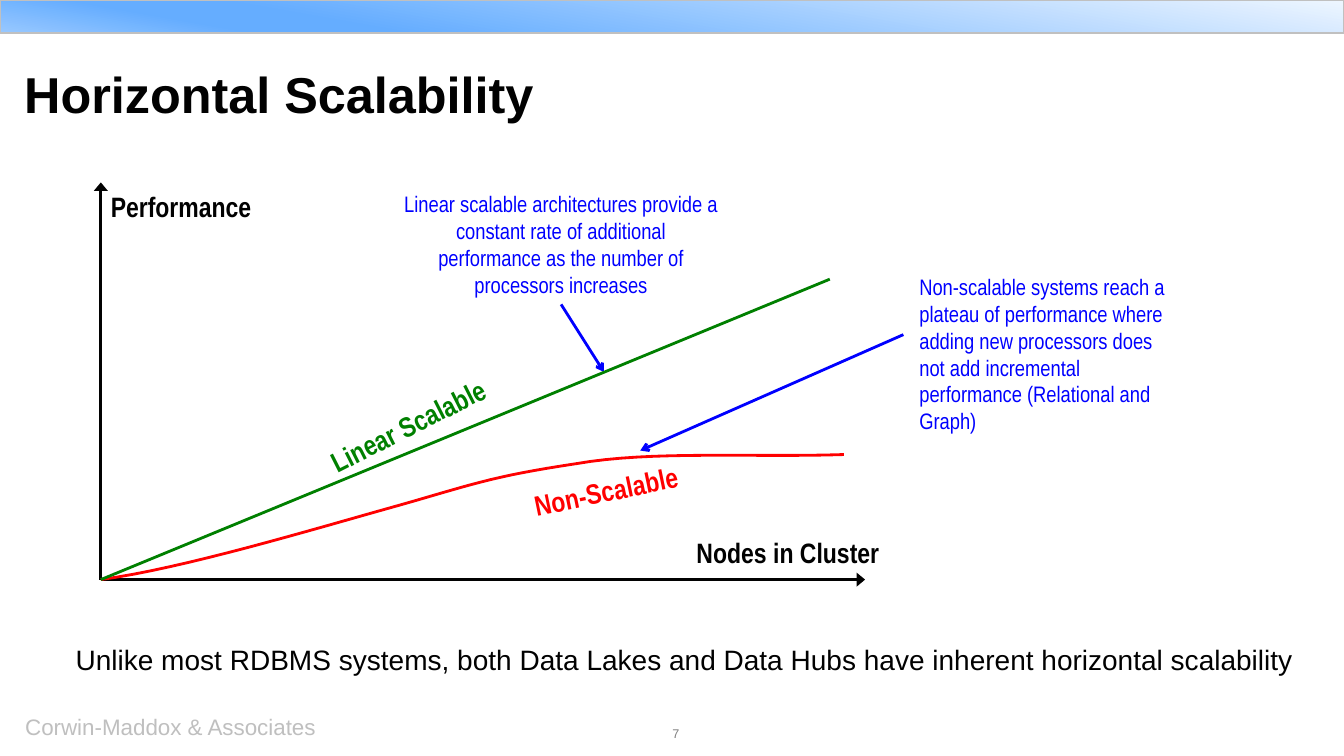
from lxml.etree import SubElement
from pptx import Presentation
from pptx.dml.color import RGBColor
from pptx.enum.shapes import MSO_CONNECTOR, MSO_SHAPE
from pptx.enum.text import MSO_AUTO_SIZE, PP_ALIGN
from pptx.oxml.ns import qn
from pptx.util import Inches, Pt

BLACK, BLUE, GREEN, RED = "010101", "0000FF", "008000", "FF0000"
NARROW = "Arial Narrow"
AXIS_HEAD = {"type": "triangle", "w": "lg", "len": "med"}
POINTER_HEAD = {"type": "arrow"}
BANNER_STOPS = [(0, "EEF6FF"), (74, "65ADFF"), (83, "65ADFF"), (100, "98C8FF")]
PLATEAU_CURVE = [
    [(0, 3.94), (0.82, 3.83), (2.11, 3.44), (2.9, 3.22)],
    [(2.9, 3.22), (3.68, 3), (3.85, 2.92), (4.72, 2.79)],
    [(4.72, 2.79), (5.45, 2.66), (6.49, 2.73), (7.37, 2.7)],
]
CURVE_STEPS = 16


def rgb(code):
    return RGBColor.from_string(code)


def add_text(slide, box, words, size, color, font="Arial", bold=False,
             inset=True, wrap=False, rotation=0, align=PP_ALIGN.LEFT):
    label = slide.shapes.add_textbox(*map(Inches, box))
    label.rotation = rotation
    frame = label.text_frame
    settings = {"word_wrap": wrap, "auto_size": MSO_AUTO_SIZE.SHAPE_TO_FIT_TEXT}
    if not inset:
        settings.update(dict.fromkeys(
            ("margin_left", "margin_top", "margin_right", "margin_bottom"), 0))
    for name, value in settings.items():
        setattr(frame, name, value)
    paragraph = frame.paragraphs[0]
    paragraph.alignment = align
    run = paragraph.add_run()
    run.text = words
    for name, value in {"name": font, "size": Pt(size), "bold": bold}.items():
        setattr(run.font, name, value)
    run.font.color.rgb = rgb(color)
    return label


def add_line(slide, start, end, color, head=None):
    line = slide.shapes.add_connector(
        MSO_CONNECTOR.STRAIGHT, *map(Inches, (*start, *end)))
    line.line.color.rgb = rgb(color)
    line.line.width = Pt(2)
    if head:
        SubElement(line.line._get_or_add_ln(), qn("a:tailEnd"), **head)
    SubElement(line._element.spPr, qn("a:effectLst"))
    return line


def bezier(points, t):
    weights = ((1 - t) ** 3, 3 * t * (1 - t) ** 2, 3 * t ** 2 * (1 - t), t ** 3)
    return tuple(sum(w * p[axis] for w, p in zip(weights, points)) for axis in (0, 1))


def draw_banner(slide, box):
    banner = slide.shapes.add_shape(MSO_SHAPE.RECTANGLE, *map(Inches, box))
    banner.shadow.inherit = False
    banner.fill.gradient()
    banner.fill.gradient_angle = 260
    stops = banner._element.spPr.find(qn("a:gradFill")).find(qn("a:gsLst"))
    for stop in list(stops):
        stops.remove(stop)
    for position, color in BANNER_STOPS:
        stop = SubElement(stops, qn("a:gs"), pos=str(position * 1000))
        SubElement(stop, qn("a:srgbClr"), val=color)
    banner.line.color.rgb = rgb("C0C0C0")
    banner.line.width = Pt(1)


def draw_title(slide, box):
    title = add_text(slide, box, "Horizontal Scalability", 36, BLACK,
                     bold=True, inset=False, wrap=True)
    title.text_frame.auto_size = MSO_AUTO_SIZE.NONE
    title.text_frame.paragraphs[0].line_spacing = Pt(40)


def draw_curve(slide, at):
    points = [bezier(segment, step / CURVE_STEPS)
              for segment in PLATEAU_CURVE for step in range(1, CURVE_STEPS + 1)]
    outline = [tuple(map(Inches, at(*point))) for point in points]
    builder = slide.shapes.build_freeform(*map(Inches, at(*PLATEAU_CURVE[0][0])))
    builder.add_line_segments(outline, close=False)
    curve = builder.convert_to_shape()
    curve.shadow.inherit = False
    curve.fill.background()
    curve.line.color.rgb = rgb(RED)
    curve.line.width = Pt(2)


def draw_diagram(slide, box):
    left, top, width, height = box

    def at(x, y):
        return left + x, top + y

    origin = at(0, height)
    add_line(slide, origin, at(0, 0), BLACK, AXIS_HEAD)
    add_line(slide, origin, at(width, height), BLACK, AXIS_HEAD)
    draw_curve(slide, at)

    for words, x, y, label_width, color, rotation in [
        ("Nodes in Cluster", 5.81, 3.45, 2.03, BLACK, 0),
        ("Performance", 0, 0.02, 1.61, BLACK, 0),
        ("Linear Scalable", 2.11, 2.19, 1.89, GREEN, 333.2),
        ("Non-Scalable", 4.19, 2.84, 1.66, RED, 348.3),
    ]:
        add_text(slide, (*at(x, y), label_width, 0.44), words, 20, color,
                 NARROW, bold=True, rotation=rotation)

    add_text(slide, (*at(8.02, 0.85), 2.76, 1.72),
             "Non-scalable systems reach a plateau of performance where adding "
             "new processors does not add incremental performance "
             "(Relational and Graph)", 16, BLUE, NARROW, wrap=True)
    linear_note = add_text(
        slide, (*at(2.9, 0.03), 3.33, 1.18),
        "Linear scalable architectures provide a constant rate of additional "
        "performance as the number of processors increases",
        16, BLUE, NARROW, wrap=True, align=PP_ALIGN.CENTER)

    add_line(slide, at(7.96, 1.51), at(5.35, 2.66), BLUE, POINTER_HEAD)
    linear_pointer = add_line(slide, at(4.56, 1.21), at(4.99, 1.88), BLUE, POINTER_HEAD)
    linear_pointer.begin_connect(linear_note, 2)
    add_line(slide, origin, at(7.23, 0.96), GREEN)


def draw_footer(slide, box):
    left, top, width, height = box
    add_text(slide, (left, top, 4, 0.27), "Corwin-Maddox & Associates",
             16, "BFBFBF", inset=False, wrap=True)
    add_text(slide, (left + 6.42, top + 0.12, width - 6.42, height - 0.12), "7",
             9, "808080", inset=False, wrap=True)


def main():
    deck = Presentation()
    deck.slide_width, deck.slide_height = Inches(13.33), Inches(7.5)
    slide = deck.slides.add_slide(deck.slide_layouts[6])
    draw_footer(slide, (0.25, 7.08, 11.95, 0.42))
    draw_banner(slide, (0, 0, 13.33, 0.33))
    draw_title(slide, (0.24, 0.67, 10.16, 0.64))
    draw_diagram(slide, (1, 1.81, 7.58, 3.94))
    add_text(slide, (0.75, 6.37, 12.17, 0.34),
             "Unlike most RDBMS systems, both Data Lakes and Data Hubs have "
             "inherent horizontal scalability", 20, BLACK, inset=False)
    deck.save("out.pptx")


if __name__ == "__main__":
    main()
